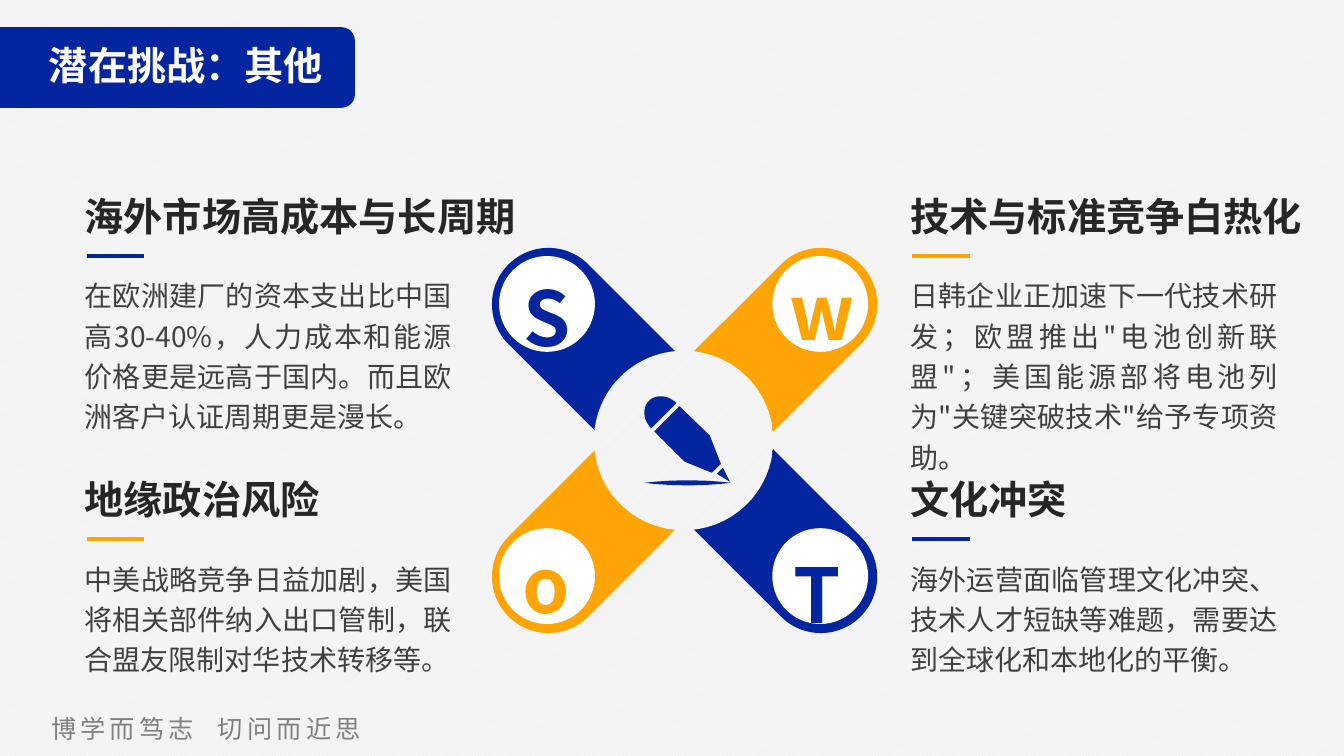
"""Build a slide of four challenges around a crossed SWOT emblem."""
from dataclasses import dataclass
from math import cos, pi, sin, sqrt

from lxml import etree
from pptx import Presentation
from pptx import util as u
from pptx.dml.color import RGBColor
from pptx.enum import dml, shapes, text
from pptx.oxml import ns

HUES = {"blue": "0326A0", "gold": "FFA405", "white": "FFFFFF", "pale": "F2F2F2",
        "dark": "262626", "body": "404040", "gray": "808080"}
FONT = "Noto Sans CJK SC"
KIND = shapes.MSO_SHAPE


@dataclass
class Part:
    x: float
    y: float
    hue: str
    head: str
    body: str
    high: float
    mark: str
    disc: tuple[float, float]
    spot: tuple[float, float]


PARTS = [
    Part(0.84, 1.86, "blue", "海外市场高成本与长周期",
         "在欧洲建厂的资本支出比中国高30-40%，人力成本和能源价格更是远高于国内。而且欧洲客户认证周期更是漫长。",
         1.72, "S", (4.95, 2.54), (5.09, 2.37)),
    Part(0.84, 4.67, "gold", "地缘政治风险",
         "中美战略竞争日益加剧，美国将相关部件纳入出口管制，联合盟友限制对华技术转移等。",
         1.31, "o", (4.95, 5.24), (5.08, 5.02)),
    Part(9.03, 1.86, "gold", "技术与标准竞争白热化",
         '日韩企业正加速下一代技术研发；欧盟推出"电池创新联盟"；美国能源部将电池列为"关键突破技术"给予专项资助。',
         1.72, "w", (7.66, 2.54), (7.73, 2.31)),
    Part(9.03, 4.67, "blue", "文化冲突",
         "海外运营面临管理文化冲突、技术人才短缺等难题，需要达到全球化和本地化的平衡。",
         1.31, "T", (7.66, 5.24), (7.77, 5.12)),
]

deck = Presentation()
deck.slide_width, deck.slide_height = u.Inches(13.33), u.Inches(7.5)
slide = deck.slides.add_slide(deck.slide_layouts[6])


def tint(hue: str) -> RGBColor:
    return RGBColor.from_string(HUES[hue])


def hatch(fill) -> None:
    fill.patterned()
    fill.pattern = dml.MSO_PATTERN.DARK_UPWARD_DIAGONAL
    fill.fore_color.rgb, fill.back_color.rgb = tint("white"), tint("pale")


def paint(shape, hue: str | None) -> None:
    shape.shadow.inherit = False
    shape.line.fill.background()
    if hue:
        shape.fill.solid()
        shape.fill.fore_color.rgb = tint(hue)
    else:
        shape.fill.background()


def add(kind, x: float, y: float, w: float, h: float, hue: str | None = None,
        turn: float = 0, curve: float | None = None):
    shape = slide.shapes.add_shape(kind, *map(u.Inches, (x, y, w, h)))
    paint(shape, hue)
    shape.rotation = turn
    if curve is not None:
        shape.adjustments[0] = curve
    return shape


def write(words: str, x: float, y: float, w: float, h: float, *, size: float,
          hue: str, bold: bool = False, wrap: bool = True, left: float = 0.1,
          lead: float | None = None, align=text.PP_ALIGN.LEFT, track: float = 0,
          gap: float = 0, box=None) -> None:
    frame = (box or slide.shapes.add_textbox(*map(u.Inches, (x, y, w, h)))).text_frame
    frame.word_wrap = wrap
    frame.margin_left = u.Inches(left)
    if box is None:
        frame.auto_size = text.MSO_AUTO_SIZE.SHAPE_TO_FIT_TEXT
    para = frame.paragraphs[0]
    para.alignment = align
    if lead:
        para.line_spacing = lead
    for piece in words.partition(" ") if gap else [words]:
        run = para.add_run()
        run.text = piece
        font = run.font
        font.size, font.bold, font.name = u.Pt(size), bold, FONT
        font.color.rgb = tint(hue)
        props = run._r.get_or_add_rPr()
        etree.SubElement(props, ns.qn("a:ea")).set("typeface", FONT)
        if track:
            props.set("spc", str(round(100 * (gap if piece == " " else track))))


def rule(x: float, y: float, span: float, hue: str) -> None:
    line = slide.shapes.add_connector(
        shapes.MSO_CONNECTOR.STRAIGHT, *map(u.Inches, (x, y, x + span, y)))
    line.line.color.rgb, line.line.width = tint(hue), u.Pt(3)
    etree.SubElement(line._element.spPr, ns.qn("a:effectLst"))


def trace(loops: list[list[tuple[float, float]]], hue: str) -> None:
    grid = 1000
    loops = [[(x * grid, y * grid) for x, y in loop] for loop in loops]
    path = slide.shapes.build_freeform(*loops[0][0], scale=u.Inches(1) / grid)
    for n, loop in enumerate(loops):
        if n:
            path.move_to(*loop[0])
        path.add_line_segments(loop[1:], close=True)
    paint(path.convert_to_shape(), hue)


def pen() -> None:
    steps = [n / 24 for n in range(25)]
    wave = [(6.39 + 0.86 * t, 0.1 * t * (1 - t)) for t in steps]
    stroke = [(x, 4.79 - d) for x, d in wave] + [(x, 4.79 + d) for x, d in wave[-2:0:-1]]
    cap = []
    for t in steps:
        side, rise = 0.177 * cos(pi * t) / sqrt(2), 0.21 * sin(pi * t) / sqrt(2)
        cap.append((6.585 + side - rise, 4.125 - side - rise))
    tip = [(7.17, 4.64), (7.24, 4.78), (7.11, 4.7)]
    stem = [(6.74, 4.03), (7.04, 4.32), (7.15, 4.6), (7.06, 4.69), (6.79, 4.58), (6.49, 4.28)]
    trace([stroke, tip, stem, cap], "blue")


def main() -> None:
    hatch(slide.background.fill)
    add(KIND.ROUNDED_RECTANGLE, -0.26, 0.27, 3.78, 0.8, "blue")
    place = (0.29, 0.34, 3.17, 0.66)
    title = add(KIND.ROUNDED_RECTANGLE, *place, curve=0.5)
    write("潜在挑战：其他", *place, size=28, hue="white", bold=True, lead=0.9, box=title)
    write("博学而笃志 切问而近思", 0.41, 7.03, 3.5, 0.4, size=18, hue="gray",
          wrap=False, track=3, gap=10)
    for hue, turn in (("gold", 45), ("blue", 315)):
        add(KIND.ROUNDED_RECTANGLE, 6.23, 1.9, 1.12, 4.94, hue, turn, 0.5)
    for part in PARTS:
        write(part.head, part.x, part.y, 0.39 * len(part.head) + 0.1, 0.57, size=28,
              hue="dark", bold=True, wrap=False, left=0)
        write(part.body, part.x, part.y + 0.79, 3.74, part.high, size=20, hue="body",
              left=0, lead=1.2, align=text.PP_ALIGN.JUSTIFY)
        rule(part.x + 0.02, part.y + 0.68, 0.57, part.hue)
        add(KIND.OVAL, *part.disc, 0.95, 0.95, "white")
        write(part.mark, *part.spot, 0.79, 1.17, size=54, hue=part.hue, bold=True, lead=1.3)
    hub = add(KIND.OVAL, 5.89, 3.48, 1.78, 1.78)
    hatch(hub.fill)
    pen()
    deck.save("out.pptx")


if __name__ == "__main__":
    main()
